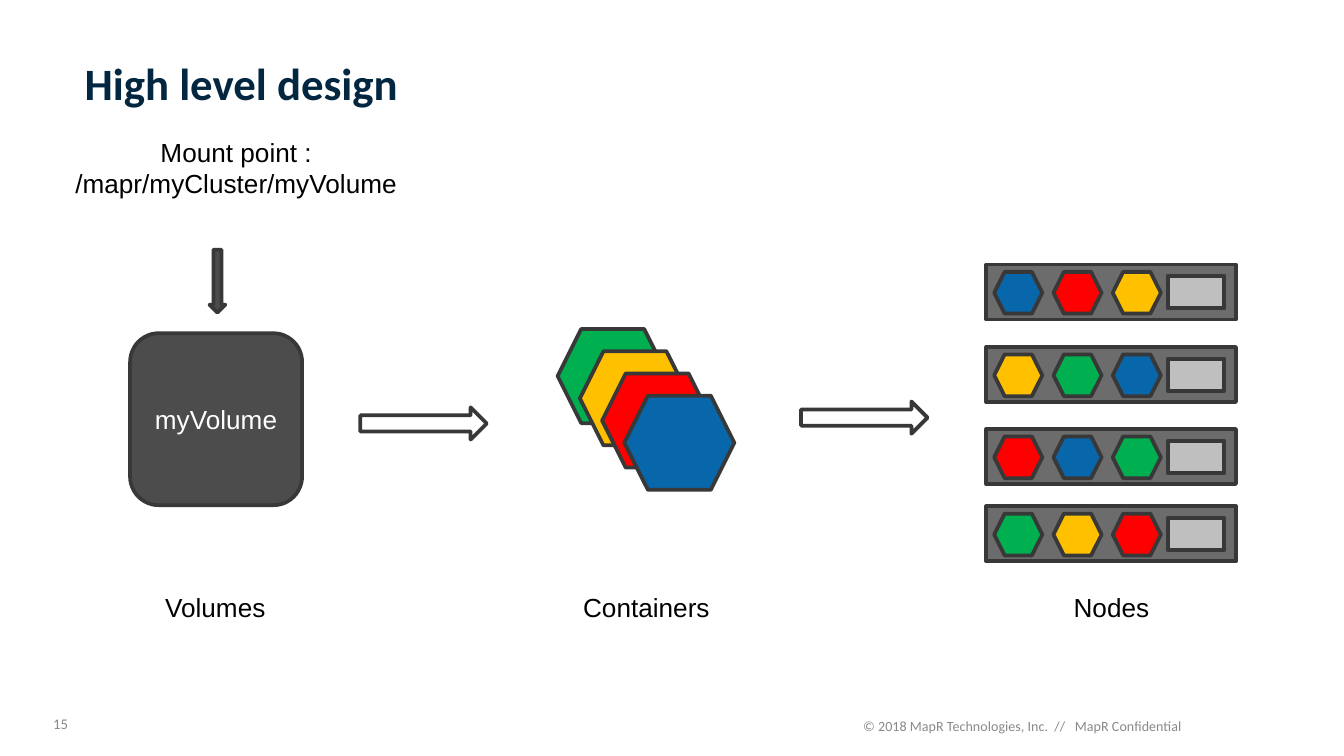
from pptx import Presentation
from pptx.dml.color import RGBColor
from pptx.enum.shapes import MSO_SHAPE as SHAPE
from pptx.enum.text import MSO_ANCHOR as ANCHOR, MSO_AUTO_SIZE as AUTO, PP_ALIGN as ALIGN
from pptx.util import Cm, Pt

BLUE, RED, YELLOW, GREEN = "0866AB", "FF0000", "FFC000", "00B050"
DARK, EDGE, GREY, WHITE = "4C4C4C", "383838", "898989", "FFFFFF"
LABEL = {"name": "Arial", "size": Pt(14)}
SMALL = {"name": "Calibri", "size": Pt(7.5)}
HEADING = {"name": "Calibri", "size": Pt(24), "bold": True}


def rgb(value):
    return RGBColor.from_string(value)


def set_text(sp, lines, font, color, align, anchor=ANCHOR.TOP, wrap=True, margins=(0.25, 0.13)):
    tf = sp.text_frame
    x, y = (Cm(m) for m in margins)
    formats = {"word_wrap": wrap, "auto_size": AUTO.NONE, "vertical_anchor": anchor,
               "margin_left": x, "margin_right": x, "margin_top": y, "margin_bottom": y}
    for name, value in formats.items():
        setattr(tf, name, value)
    for i, line in enumerate(lines):
        p = tf.paragraphs[0] if i == 0 else tf.add_paragraph()
        p.alignment = align
        r = p.add_run()
        r.text = line
        for name, value in font.items():
            setattr(r.font, name, value)
        r.font.color.rgb = rgb(color)


def add_text(shapes, box, *args, **kwargs):
    sp = shapes.add_textbox(*map(Cm, box))
    set_text(sp, *args, **kwargs)


def add_shape(shapes, kind, box, fill):
    sp = shapes.add_shape(kind, *map(Cm, box))
    sp.shadow.inherit = False
    sp.fill.solid()
    sp.fill.fore_color.rgb = rgb(fill)
    sp.line.color.rgb = rgb(EDGE)
    sp.line.width = Pt(2)
    return sp


def add_title(s, box, text):
    sp = s.shapes.title
    sp.left, sp.top, sp.width, sp.height = map(Cm, box)
    set_text(sp, [text], HEADING, "032741", ALIGN.LEFT)
    sp.text_frame.paragraphs[0].line_spacing = 0.9


def add_volume(shapes, x, y, size):
    add_text(shapes, (x - 1.32, y - 3.86, 6.65, 1.45),
             ["Mount point :", "/mapr/myCluster/myVolume"], LABEL, "000000", ALIGN.CENTER)
    add_shape(shapes, SHAPE.DOWN_ARROW, (x + 1.5, y - 1.58, 0.3, 1.19), DARK)
    sp = add_shape(shapes, SHAPE.ROUNDED_RECTANGLE, (x, y, size, size), DARK)
    set_text(sp, ["myVolume"], LABEL, WHITE, ALIGN.CENTER, ANCHOR.MIDDLE)


def add_containers(shapes, x, y, step=0.42):
    group = shapes.add_group_shape().shapes
    for i, color in enumerate([GREEN, YELLOW, RED, BLUE]):
        add_shape(group, SHAPE.HEXAGON, (x + i * step, y + i * step, 2.08, 1.78), color)


def add_node(shapes, x, y, colors):
    group = shapes.add_group_shape().shapes
    add_shape(group, SHAPE.RECTANGLE, (x, y, 4.72, 1.04), "6C6C6C")
    add_shape(group, SHAPE.RECTANGLE, (x + 3.43, y + 0.22, 1.07, 0.61), "BFBFBF")
    for i, color in enumerate(colors):
        add_shape(group, SHAPE.HEXAGON, (x + 0.15 + i * 1.12, y + 0.14, 0.91, 0.79), color)


def add_footer(shapes, y):
    add_text(shapes, (0.79, y, 0.71, 0.53), ["15"], {**SMALL, "size": Pt(7.9)}, GREY,
             ALIGN.CENTER, margins=(0.18, 0.1))
    add_text(shapes, (14.02, y + 0.03, 8.56, 0.76),
             ["© 2018 MapR Technologies, Inc.  //   MapR Confidential"], SMALL, GREY, ALIGN.RIGHT)


def main():
    prs = Presentation()
    prs.slide_width, prs.slide_height = Cm(25.4), Cm(14.29)
    s = prs.slides.add_slide(prs.slide_layouts[5])
    add_title(s, (1.35, 1.04, 22.91, 1.78), "High level design")
    add_volume(s.shapes, 2.46, 6.3, 3.25)
    add_containers(s.shapes, 10.54, 6.22)
    nodes = [(5, (BLUE, RED, YELLOW)), (6.56, (YELLOW, GREEN, BLUE)),
             (8.11, (RED, BLUE, GREEN)), (9.57, (GREEN, YELLOW, RED))]
    for y, colors in nodes:
        add_node(s.shapes, 18.64, y, colors)
    for x, y in [(6.81, 7.7), (15.14, 7.59)]:
        add_shape(s.shapes, SHAPE.RIGHT_ARROW, (x, y, 2.39, 0.61), WHITE)
    for text, x, w in [("Volumes", 2.87, 2.44), ("Containers", 10.77, 2.92), ("Nodes", 20.04, 1.96)]:
        add_text(s.shapes, (x, 11.05, w, 0.86), [text], LABEL, "000000", ALIGN.LEFT, wrap=False)
    add_footer(s.shapes, 13.41)
    prs.save("out.pptx")


if __name__ == "__main__":
    main()
